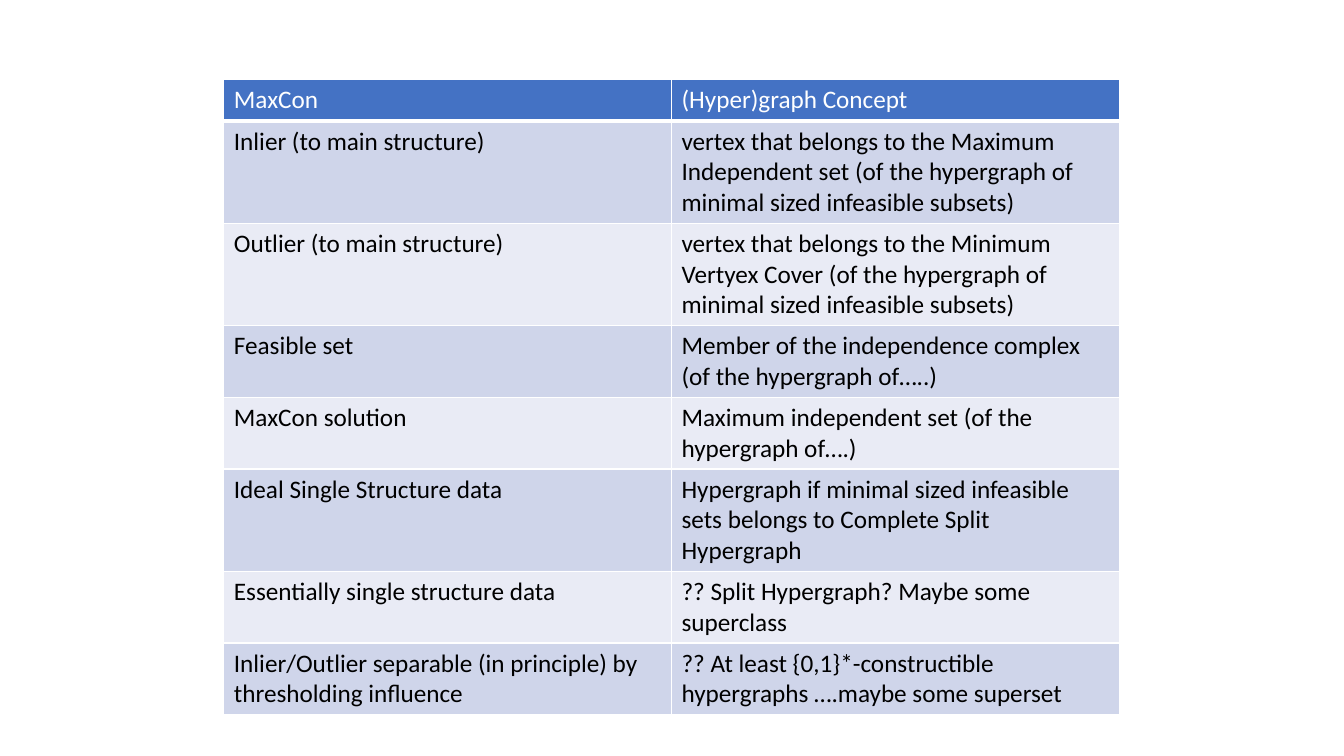
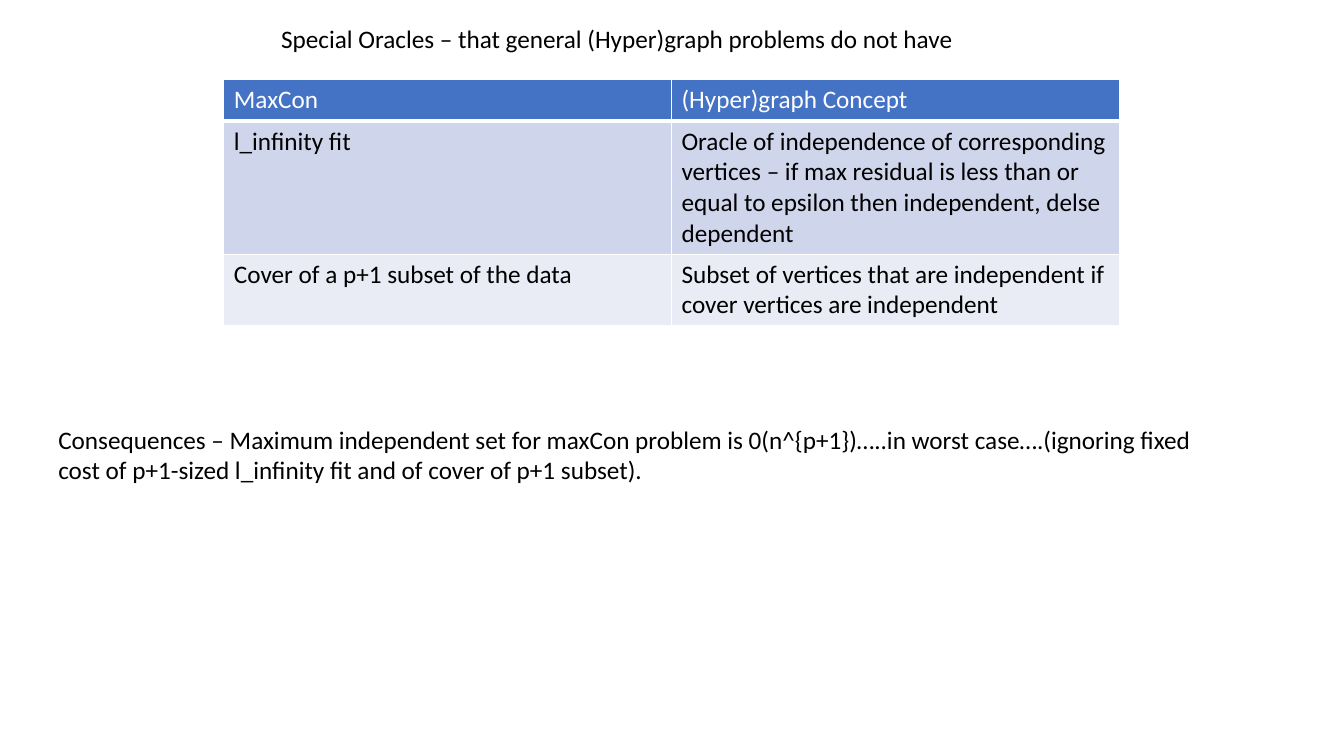
from lxml import etree
from pptx import Presentation
from pptx.dml.color import RGBColor
from pptx.enum import text
from pptx.oxml import ns
from pptx.util import Inches, Pt

FONT, SIZE = "Calibri", 18
WHITE, BLACK, HEADER = "FFFFFF", "000000", "4472C4"
BANDS = ["CFD5EA", "E9EBF5"]
TABLE_LEFT, TABLE_TOP, COLUMN_WIDTH, ROW_HEIGHT = 2.22, 0.79, 4.44, 0.41
HEADINGS = ("MaxCon", "(Hyper)graph Concept")

SLIDES = [
    {
        "rows": [
            ("Inlier (to main structure)",
             "vertex that belongs to the Maximum Independent set (of the hypergraph of minimal sized infeasible subsets)"),
            ("Outlier (to main structure)",
             "vertex that belongs to the Minimum Vertyex Cover (of the hypergraph of minimal sized infeasible subsets)"),
            ("Feasible set",
             "Member of the independence complex (of the hypergraph of…..)"),
            ("MaxCon solution",
             "Maximum independent set (of the hypergraph of….)"),
            ("Ideal Single Structure data",
             "Hypergraph if minimal sized infeasible sets belongs to Complete Split Hypergraph"),
            ("Essentially single structure data",
             "?? Split Hypergraph? Maybe some superclass"),
            ("Inlier/Outlier separable (in principle) by thresholding influence",
             "?? At least {0,1}*-constructible hypergraphs ….maybe some superset"),
        ],
        "notes": [],
    },
    {
        "rows": [
            ("l_infinity fit",
             "Oracle of independence of corresponding vertices – if max residual is less than or equal to epsilon then independent, delse dependent"),
            ("Cover of a p+1 subset of the data",
             "Subset of vertices that are independent if cover vertices are independent"),
        ],
        "notes": [
            ((2.69, 0.18, 8.03, 0.4),
             "Special Oracles – that general (Hyper)graph problems do not have"),
            ((0.48, 4.16, 11.5, 0.71),
             "Consequences – Maximum independent set for maxCon problem is 0(n^{p+1})…..in worst case….(ignoring fixed cost of p+1-sized l_infinity fit and of cover of p+1 subset)."),
        ],
    },
]


def rgb(color):
    return RGBColor.from_string(color)


def write(tf, content, color):
    p = tf.paragraphs[0]
    p.text = content
    p.font.name = FONT
    p.font.size = Pt(SIZE)
    p.font.bold = False
    p.font.color.rgb = rgb(color)


def set_borders(cell, bottom):
    tc_pr = cell._tc.get_or_add_tcPr()
    widths = {"lnL": 1, "lnR": 1, "lnT": 1, "lnB": bottom}
    for i, (side, width) in enumerate(widths.items()):
        line = etree.Element(ns.qn(f"a:{side}"), w=str(Pt(width)))
        fill = etree.SubElement(line, ns.qn("a:solidFill"))
        etree.SubElement(fill, ns.qn("a:srgbClr"), val=WHITE)
        tc_pr.insert(i, line)


def add_concept_table(s, body):
    rows = [HEADINGS, *body]
    n_cols = len(HEADINGS)
    table = s.shapes.add_table(
        len(rows), n_cols, Inches(TABLE_LEFT), Inches(TABLE_TOP),
        Inches(COLUMN_WIDTH * n_cols), Inches(ROW_HEIGHT * len(rows))).table
    for column in table.columns:
        column.width = Inches(COLUMN_WIDTH)
    for i, row in enumerate(rows):
        table.rows[i].height = Inches(ROW_HEIGHT)
        is_header = i == 0
        for j, content in enumerate(row):
            cell = table.cell(i, j)
            cell.fill.solid()
            cell.fill.fore_color.rgb = rgb(HEADER if is_header else BANDS[(i - 1) % 2])
            write(cell.text_frame, content, WHITE if is_header else BLACK)
            set_borders(cell, 3 if is_header else 1)


def add_note(s, box, content):
    tf = s.shapes.add_textbox(*map(Inches, box)).text_frame
    tf.word_wrap = True
    tf.auto_size = text.MSO_AUTO_SIZE.SHAPE_TO_FIT_TEXT
    write(tf, content, BLACK)


def main():
    prs = Presentation()
    prs.slide_width, prs.slide_height = Inches(13.33), Inches(7.5)
    for slide in SLIDES:
        s = prs.slides.add_slide(prs.slide_layouts[6])
        add_concept_table(s, slide["rows"])
        for box, content in slide["notes"]:
            add_note(s, box, content)
    prs.save("out.pptx")


if __name__ == "__main__":
    main()
